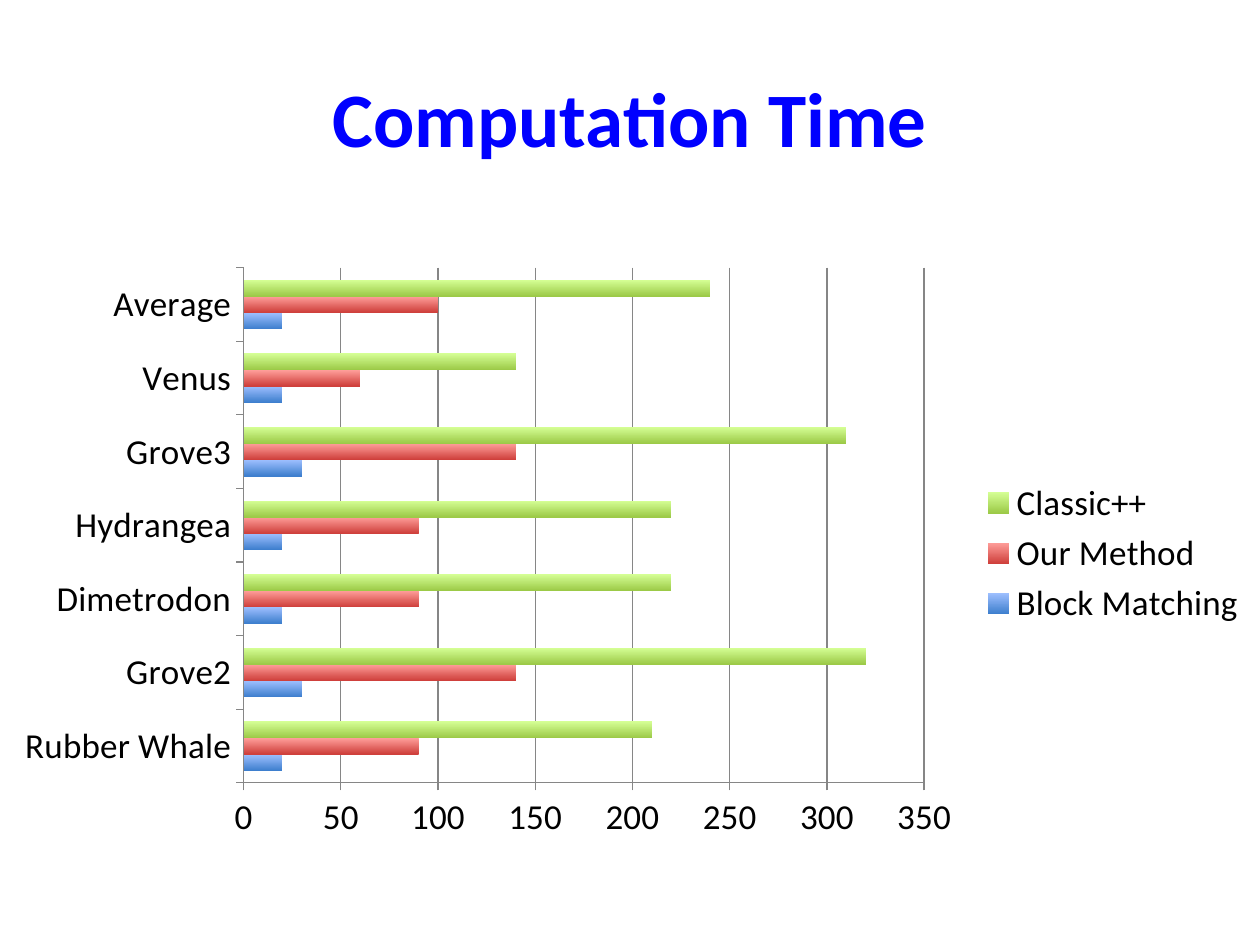
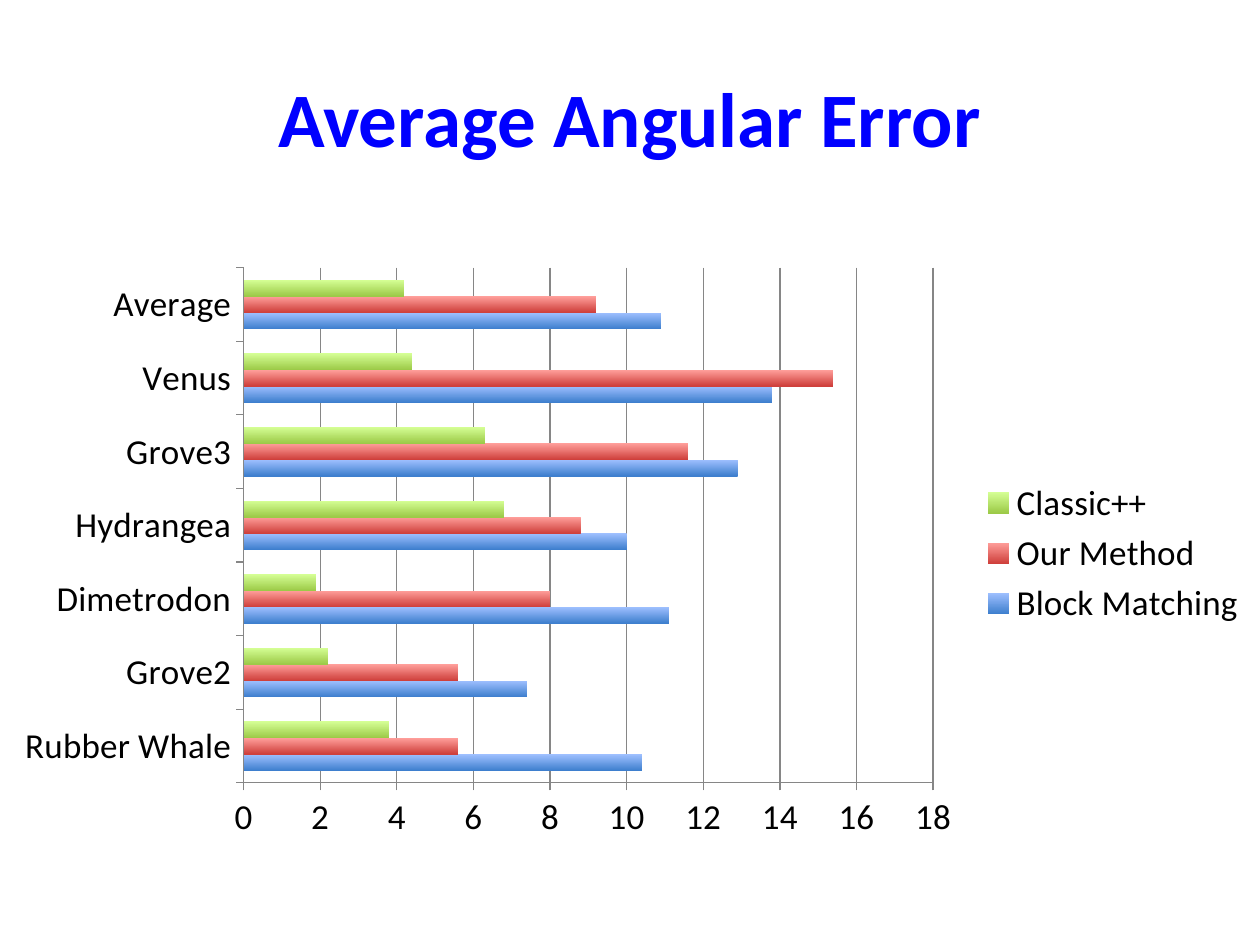
from dataclasses import dataclass

from pptx import Presentation
from pptx.chart.data import CategoryChartData
from pptx.dml.color import RGBColor
from pptx.enum.chart import XL_CHART_TYPE, XL_LEGEND_POSITION, XL_TICK_MARK
from pptx.enum.text import MSO_ANCHOR, PP_ALIGN
from pptx.util import Inches, Pt


@dataclass(frozen=True)
class Theme:
    font: str = "Calibri"
    title_size: int = 44
    chart_size: int = 20
    title_color: str = "0000FF"
    text_color: str = "000000"
    grid_color: str = "868686"
    background: str = "FFFFFF"
    method_gradients: tuple = (
        ("9FC0FF", "3E7FCE"),
        ("FF9F9B", "CF403C"),
        ("D5FF95", "9CCA48"),
    )


THEME = Theme()
METHODS = ("Block Matching", "Our Method", "Classic++")
SEQUENCES = ("Rubber Whale", "Grove2", "Dimetrodon", "Hydrangea",
             "Grove3", "Venus", "Average")
COMPUTATION_TIME = (
    (20, 30, 20, 20, 30, 20, 20),
    (90, 140, 90, 90, 140, 60, 100),
    (210, 320, 220, 220, 310, 140, 240),
)
ANGULAR_ERROR = (
    (10.4, 7.4, 11.1, 10, 12.9, 13.8, 10.9),
    (5.6, 5.6, 8, 8.8, 11.6, 15.4, 9.2),
    (3.8, 2.2, 1.9, 6.8, 6.3, 4.4, 4.2),
)


def rgb(color):
    return RGBColor.from_string(color)


def style_font(font, size, color, bold=False):
    font.name = THEME.font
    font.size = Pt(size)
    font.bold = bold
    font.color.rgb = rgb(color)


def style_line(line):
    line.color.rgb = rgb(THEME.grid_color)
    line.width = Pt(0.75)


def set_title(slide, wording):
    title = slide.shapes.title
    title.left, title.top = Inches(0.5), Inches(0.3)
    title.width, title.height = Inches(9), Inches(1.25)
    title.text_frame.vertical_anchor = MSO_ANCHOR.MIDDLE
    heading = title.text_frame.paragraphs[0]
    heading.text = wording
    heading.alignment = PP_ALIGN.CENTER
    style_font(heading.font, THEME.title_size, THEME.title_color, bold=True)


def style_axis(axis):
    axis.major_tick_mark = XL_TICK_MARK.OUTSIDE
    axis.minor_tick_mark = XL_TICK_MARK.NONE
    style_line(axis.format.line)


def color_method(bars, gradient):
    bars.invert_if_negative = False
    fill = bars.format.fill
    fill.gradient()
    fill.gradient_angle = 270
    for stop, color in zip(fill.gradient_stops, gradient):
        stop.color.rgb = rgb(color)


def add_method_chart(slide, results, maximum, step):
    data = CategoryChartData()
    data.categories = SEQUENCES
    for method, values in zip(METHODS, results):
        data.add_series(method, values)
    chart = slide.shapes.add_chart(
        XL_CHART_TYPE.BAR_CLUSTERED, Inches(0), Inches(2.03),
        Inches(10), Inches(4.72), data).chart
    style_font(chart.font, THEME.chart_size, THEME.text_color)
    chart.has_title = False
    chart.has_legend = True
    chart.legend.position = XL_LEGEND_POSITION.RIGHT
    chart.legend.include_in_layout = False

    style_axis(chart.category_axis)
    scale = chart.value_axis
    style_axis(scale)
    scale.minimum_scale, scale.maximum_scale = 0, maximum
    scale.major_unit = step
    scale.has_major_gridlines = True
    style_line(scale.major_gridlines.format.line)

    plot = chart.plots[0]
    plot.gap_width = 150
    plot.vary_by_categories = False
    for bars, gradient in zip(plot.series, THEME.method_gradients):
        color_method(bars, gradient)


def add_result_slide(deck, wording, results, maximum, step):
    slide = deck.slides.add_slide(deck.slide_layouts[5])
    slide.background.fill.solid()
    slide.background.fill.fore_color.rgb = rgb(THEME.background)
    set_title(slide, wording)
    add_method_chart(slide, results, maximum, step)


def main():
    deck = Presentation()
    deck.slide_width, deck.slide_height = Inches(10), Inches(7.5)
    add_result_slide(deck, "Computation Time", COMPUTATION_TIME, 350, 50)
    add_result_slide(deck, "Average Angular Error", ANGULAR_ERROR, 18, 2)
    deck.save("out.pptx")


if __name__ == "__main__":
    main()
